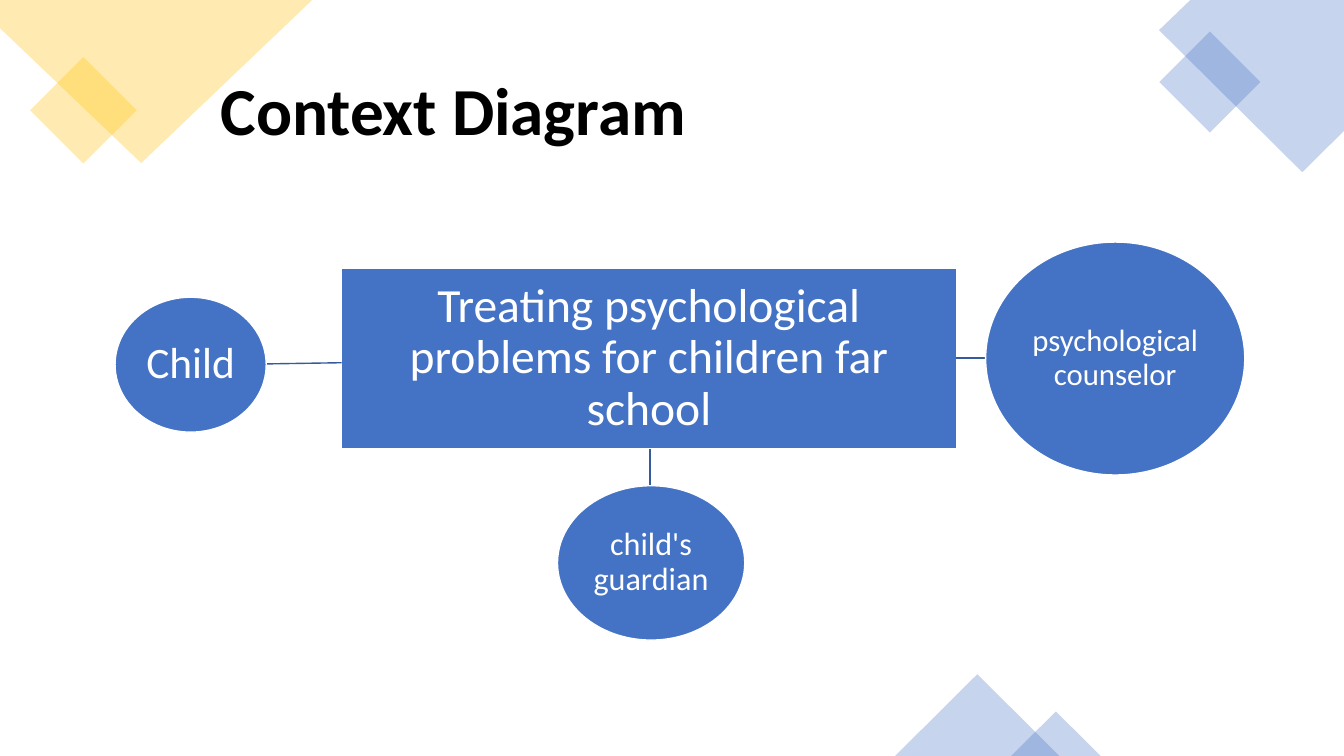
from dataclasses import dataclass

from lxml.etree import SubElement
from pptx import Presentation
from pptx.dml.color import RGBColor
from pptx.enum.shapes import MSO_CONNECTOR as Connector, MSO_SHAPE as Shape
from pptx.enum.text import MSO_ANCHOR as Anchor, PP_ALIGN as Align
from pptx.oxml.ns import qn
from pptx.util import Cm, Pt


@dataclass(frozen=True)
class Theme:
    """Colours, font and type sizes of the slide."""
    font: str = "Calibri"
    blue: str = "4472C4"
    gold: str = "FFC000"
    link: str = "365B9D"
    white: str = "FFFFFF"
    black: str = "000000"
    title: int = 48
    process: int = 34
    child: int = 31
    guardian: int = 23
    counselor: int = 22
    line: float = 1
    opacity: int = 30


class ContextDiagram:
    """Draws the elements of a context diagram on one slide."""

    def __init__(self, slide, theme):
        """Keep the slide and its style."""
        self.shapes = slide.shapes
        self.theme = theme

    def label(self, shape, text, size, color, align, inset, bold=False):
        """Set one paragraph of text, centred vertically."""
        frame = shape.text_frame
        frame.word_wrap = True
        frame.vertical_anchor = Anchor.MIDDLE
        frame.margin_left = frame.margin_right = Cm(inset)
        frame.margin_top = frame.margin_bottom = Cm(inset)
        paragraph = frame.paragraphs[0]
        paragraph.alignment = align
        paragraph.line_spacing = 0.9
        run = paragraph.add_run()
        run.text = text
        run.font.name = self.theme.font
        run.font.size = Pt(size)
        run.font.bold = bold
        run.font.color.rgb = RGBColor.from_string(color)

    def fill(self, shape, color):
        """Give a shape a plain fill without shadow."""
        shape.shadow.inherit = False
        shape.fill.solid()
        shape.fill.fore_color.rgb = RGBColor.from_string(color)

    def tint(self, shape, color):
        """Give a decoration a translucent fill without outline."""
        self.fill(shape, color)
        shape.line.fill.background()
        tone = shape._element.spPr.find(qn("a:solidFill"))[0]
        SubElement(tone, qn("a:alpha"), val=str(self.theme.opacity * 1000))

    def ornament(self, kind, color, box, rotation=0):
        """Add a translucent preset shape."""
        shape = self.shapes.add_shape(kind, *map(Cm, box))
        shape.rotation = rotation
        self.tint(shape, color)

    def corner(self, color, points):
        """Add a translucent polygon."""
        start, *others = [(Cm(x), Cm(y)) for x, y in points]
        builder = self.shapes.build_freeform(*start)
        builder.add_line_segments(others, close=True)
        self.tint(builder.convert_to_shape(), color)

    def title(self, text, box):
        """Add the slide title."""
        shape = self.shapes.add_textbox(*map(Cm, box))
        self.label(shape, text, self.theme.title, self.theme.black,
                   Align.LEFT, 0.25, bold=True)

    def node(self, kind, text, size, box, inset):
        """Add a labelled node with a white outline."""
        shape = self.shapes.add_shape(kind, *map(Cm, box))
        self.fill(shape, self.theme.blue)
        shape.line.color.rgb = RGBColor.from_string(self.theme.white)
        shape.line.width = Pt(self.theme.line)
        self.label(shape, text, size, self.theme.white, Align.CENTER, inset)

    def link(self, *ends):
        """Add a straight line between two nodes."""
        line = self.shapes.add_connector(Connector.STRAIGHT, *map(Cm, ends))
        line.line.color.rgb = RGBColor.from_string(self.theme.link)
        line.line.width = Pt(self.theme.line)
        SubElement(line._element.spPr, qn("a:effectLst"))


def main():
    """Build and save the slide."""
    presentation = Presentation()
    presentation.slide_width = Cm(33.87)
    presentation.slide_height = Cm(19.05)
    slide = presentation.slides.add_slide(presentation.slide_layouts[6])
    theme = Theme()
    diagram = ContextDiagram(slide, theme)

    diagram.ornament(Shape.RECTANGLE, theme.gold, (1.15, 1.83, 1.9, 1.9), 45)
    diagram.corner(theme.gold, [(0, 0), (7.87, 0), (3.56, 4.11), (0, 0.71)])
    diagram.corner(theme.blue, [(30, 0), (33.87, 0), (33.87, 3.3),
                                (32.82, 4.34), (29.21, 0.76)])
    diagram.ornament(Shape.RECTANGLE, theme.blue, (29.59, 1.17, 1.8, 1.8), 45)
    for box in ((22.56, 16.99, 4.14, 2.06), (25.48, 17.93, 2.26, 1.12)):
        diagram.ornament(Shape.ISOSCELES_TRIANGLE, theme.blue, box)

    diagram.title("Context Diagram", (5.31, 1.02, 26.24, 3.68))
    diagram.node(Shape.RECTANGLE,
                 "Treating psychological problems for children far school",
                 theme.process, (8.61, 6.76, 15.49, 4.55), 0.23)
    diagram.link(16.38, 11.31, 16.38, 12.24)
    diagram.node(Shape.OVAL, "child's guardian", theme.guardian,
                 (14.05, 12.24, 4.72, 3.89), 0.15)
    diagram.link(24.1, 9.02, 24.84, 9.02)
    diagram.node(Shape.OVAL, "psychological counselor", theme.counselor,
                 (24.84, 6.1, 6.53, 5.87), 0.15)
    diagram.link(8.61, 9.14, 6.71, 9.17)
    diagram.node(Shape.OVAL, "Child", theme.child,
                 (2.9, 7.49, 3.81, 3.4), 0.23)
    presentation.save("out.pptx")


if __name__ == "__main__":
    main()
